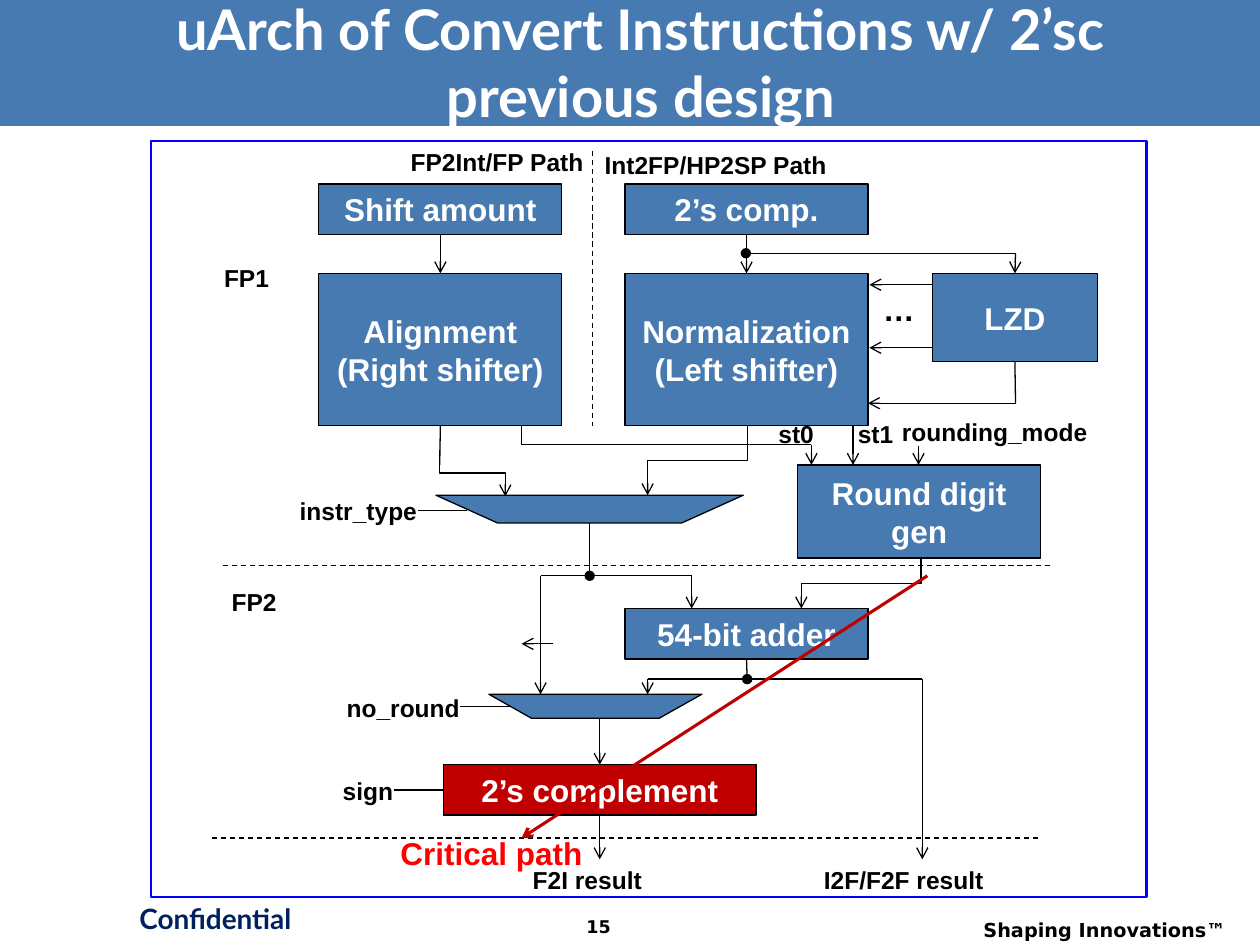
"""Draw the data path of the convert instructions with its critical path."""
from dataclasses import dataclass
from typing import Optional

from pptx import Presentation
from pptx.dml.color import RGBColor
from pptx.enum.dml import MSO_LINE
from pptx.enum.shapes import MSO_CONNECTOR, MSO_SHAPE
from pptx.enum.text import MSO_ANCHOR, MSO_AUTO_SIZE, PP_ALIGN
from pptx.oxml.ns import qn
from pptx.util import Inches, Pt
from lxml import etree

WIDTH, HEIGHT = Inches(10), Inches(7.5)
COLUMN, ROW = WIDTH / 100, HEIGHT / 75

BLUE = RGBColor(0x47, 0x7A, 0xB1)
CRIMSON = RGBColor(0xC0, 0x00, 0x00)
RED = RGBColor(0xFF, 0x00, 0x00)
FRAME_BLUE = RGBColor(0x00, 0x00, 0xFF)
NAVY = RGBColor(0x00, 0x20, 0x60)
BLACK = RGBColor(0x00, 0x00, 0x00)
WHITE = RGBColor(0xFF, 0xFF, 0xFF)

RECTANGLE, MUX = MSO_SHAPE.RECTANGLE, MSO_SHAPE.FLOWCHART_MANUAL_OPERATION
STRAIGHT, ELBOW = MSO_CONNECTOR.STRAIGHT, MSO_CONNECTOR.ELBOW
LEFT, CENTER, RIGHT = PP_ALIGN.LEFT, PP_ALIGN.CENTER, PP_ALIGN.RIGHT
MIDDLE, NO_FIT = MSO_ANCHOR.MIDDLE, MSO_AUTO_SIZE.NONE
DASH = MSO_LINE.DASH
TOP_SIDE, LEFT_SIDE, BOTTOM_SIDE = 0, 1, 2


@dataclass
class Block:
    """A filled shape, placed in columns and rows."""
    left: float
    top: float
    width: float
    height: float
    text: str = ""
    fill: Optional[RGBColor] = BLUE
    line: Optional[RGBColor] = BLACK
    weight: float = 0.75
    shape: MSO_SHAPE = RECTANGLE


@dataclass
class Label:
    """A piece of free text, placed in columns and rows."""
    text: str
    left: float
    top: float
    width: float
    align: PP_ALIGN = LEFT
    size: float = 14
    color: RGBColor = BLACK
    font: str = "Arial"
    inset: float = 1


@dataclass
class Wire:
    """A connector between two grid points, optionally joined to blocks."""
    x1: float
    y1: float
    x2: float
    y2: float
    tail: str = ""
    head: str = ""
    start: Optional[tuple[str, int]] = None
    end: Optional[tuple[str, int]] = None
    elbow: bool = False
    dashed: bool = False
    color: RGBColor = BLACK
    weight: float = 0.75


BLOCKS = [
    Block(12, 11.2, 79, 60, fill=None, line=FRAME_BLUE, weight=1.25),
    Block(25.3, 14.6, 19.3, 4, "Shift amount"),
    Block(49.6, 14.6, 19.3, 4, "2’s comp."),
    Block(25.3, 21.7, 19.3, 12.1, "Alignment (Right shifter)"),
    Block(49.6, 21.7, 19.3, 12.1, "Normalization (Left shifter)"),
    Block(74, 21.7, 13.1, 7, "LZD"),
    Block(63.3, 36.9, 19.3, 7.4, "Round digit gen"),
    Block(49.6, 48.3, 19.3, 4, "54-bit adder"),
    Block(35.2, 60.7, 24.8, 4, "2’s complement", CRIMSON),
    Block(34.6, 39.3, 24.4, 2.2, shape=MUX),
    Block(38.8, 55.1, 16.9, 1.9, shape=MUX),
]

WIRES = [
    Wire(34.9, 18.6, 34.9, 21.7, "arrow", start=("Shift amount", BOTTOM_SIDE),
         end=("Alignment (Right shifter)", TOP_SIDE)),
    Wire(59.2, 18.6, 59.2, 21.7, "arrow", start=("2’s comp.", BOTTOM_SIDE),
         end=("Normalization (Left shifter)", TOP_SIDE)),
    Wire(59.2, 20.1, 80.6, 20.1, head="oval"),
    Wire(80.6, 20.1, 80.6, 21.7, "arrow", end=("LZD", TOP_SIDE)),
    Wire(74, 22.6, 69, 22.6, "arrow"),
    Wire(74, 27.6, 69, 27.6, "arrow"),
    Wire(80.6, 28.7, 80.6, 32, start=("LZD", BOTTOM_SIDE)),
    Wire(80.6, 32, 68.9, 32, "arrow"),
    Wire(34.9, 33.8, 34.9, 36.9, start=("Alignment (Right shifter)", BOTTOM_SIDE)),
    Wire(34.9, 35.7, 40.1, 39.4, "arrow", elbow=True),
    Wire(59.3, 33.8, 51.4, 39.3, "arrow", elbow=True),
    Wire(41.4, 33.8, 41.4, 35.3),
    Wire(41.4, 35.3, 64.4, 35.3),
    Wire(64.4, 35.3, 64.4, 36.9, "arrow"),
    Wire(67.7, 33.8, 67.7, 36.9, "arrow"),
    Wire(72.9, 35.4, 72.9, 36.9, "arrow"),
    Wire(73.1, 44.3, 63.6, 48.3, "arrow", elbow=True),
    Wire(46.8, 41.5, 46.8, 45.7, "oval"),
    Wire(42.9, 45.7, 54.9, 45.7),
    Wire(42.9, 45.7, 42.9, 55.1, "arrow"),
    Wire(54.9, 45.7, 54.9, 48.3, "arrow"),
    Wire(43.9, 51.1, 41.4, 51.1, "arrow"),
    Wire(59.3, 52.3, 59.3, 53.9, "oval", start=("54-bit adder", BOTTOM_SIDE)),
    Wire(51.4, 53.9, 73.2, 53.9),
    Wire(51.4, 53.9, 51.4, 55.1, "arrow"),
    Wire(73.2, 53.9, 73.2, 68.2, "arrow"),
    Wire(47.6, 57.1, 47.6, 60.7, "arrow", end=("2’s complement", TOP_SIDE)),
    Wire(47.6, 64.7, 47.6, 68.2, "arrow", start=("2’s complement", BOTTOM_SIDE)),
    Wire(33.2, 40.5, 37.1, 40.5),
    Wire(36.5, 56.1, 40.5, 56.1),
    Wire(31.3, 62.7, 35.2, 62.7, end=("2’s complement", LEFT_SIDE)),
    Wire(47, 12, 47, 33.8, dashed=True),
    Wire(17.7, 44.9, 83.4, 44.9, dashed=True),
    Wire(16.8, 66.5, 82.5, 66.5, dashed=True),
    Wire(73.6, 45.7, 41.4, 66.5, "arrow", color=CRIMSON, weight=1.75),
]

LABELS = [
    Label("FP2Int/FP Path", 27.1, 11.2, 20.2, RIGHT),
    Label("Int2FP/HP2SP Path", 47, 11.4, 24.5),
    Label("FP1", 16.8, 20.4, 6.6),
    Label("FP2", 17.4, 46.1, 6.6),
    Label("…", 69.1, 22.5, 4.5, size=18),
    Label("st0", 60.8, 32.8, 5),
    Label("st1", 67.1, 32.8, 5),
    Label("rounding_mode", 70.6, 32.6, 17.7),
    Label("instr_type", 23.4, 38.9, 9.7, RIGHT, inset=0),
    Label("no_round", 27.3, 54.5, 9.2, RIGHT, inset=0),
    Label("sign", 24, 61.1, 7.2, RIGHT, inset=0),
    Label("F2I result", 41.3, 68.2, 12.7),
    Label("I2F/F2F result", 64.4, 68.2, 17.5),
    Label("Critical path", 30.8, 65.7, 37.6, size=18, color=RED),
    Label("Confidential", 8.9, 71.1, 16.4, CENTER, 16, NAVY, "Lato"),
    Label("15", 42.9, 72.2, 9.2, CENTER, 10, font="DejaVu Sans"),
    Label("Shaping Innovations™", 74.6, 72.4, 23.7, RIGHT, 11, font="DejaVu Sans"),
]


def place(*lengths: float) -> list[int]:
    """Turn alternating columns and rows into slide lengths."""
    return [round(length * (ROW if i % 2 else COLUMN)) for i, length in enumerate(lengths)]


def style_text(frame, size: float, color: RGBColor, name: str, align: PP_ALIGN) -> None:
    """Give every paragraph of a frame one bold font and an alignment."""
    for para in frame.paragraphs:
        para.alignment = align
        font = para.font
        font.size, font.bold, font.name = Pt(size), True, name
        font.color.rgb = color


def draw_block(page, block: Block):
    """Draw a block and return its shape."""
    box = page.shapes.add_shape(
        block.shape, *place(block.left, block.top, block.width, block.height))
    box.shadow.inherit = False
    if block.fill is None:
        box.fill.background()
    else:
        box.fill.solid()
        box.fill.fore_color.rgb = block.fill
    if block.line is None:
        box.line.fill.background()
    else:
        box.line.color.rgb = block.line
        box.line.width = Pt(block.weight)
    if block.text:
        box.text_frame.text = block.text
        box.text_frame.vertical_anchor = MIDDLE
        style_text(box.text_frame, 18, WHITE, "Arial", CENTER)
    return box


def draw_label(page, label: Label) -> None:
    """Draw a free text."""
    box = page.shapes.add_textbox(*place(label.left, label.top, label.width, 3.4))
    frame = box.text_frame
    frame.word_wrap = True
    frame.margin_left = frame.margin_right = round(label.inset * COLUMN)
    frame.text = label.text
    style_text(frame, label.size, label.color, label.font, label.align)


def draw_wire(page, wire: Wire, boxes: dict) -> None:
    """Draw a wire; an elbow is turned a quarter so that it leaves vertically."""
    points = place(wire.x1, wire.y1, wire.x2, wire.y2)
    if wire.elbow:
        x1, y1, x2, y2 = points
        middle_x, middle_y = (x1 + x2) // 2, (y1 + y2) // 2
        half_x, half_y = (x2 - x1) // 2, (y2 - y1) // 2
        points = [middle_x - half_y, middle_y + half_x, middle_x + half_y, middle_y - half_x]
    connector = page.shapes.add_connector(ELBOW if wire.elbow else STRAIGHT, *points)
    properties = connector._element.spPr
    if wire.elbow:
        properties.find(qn("a:xfrm")).set("rot", "5400000")
    if wire.start:
        connector.begin_connect(boxes[wire.start[0]], wire.start[1])
    if wire.end:
        connector.end_connect(boxes[wire.end[0]], wire.end[1])
    connector.line.color.rgb = wire.color
    connector.line.width = Pt(wire.weight)
    if wire.dashed:
        connector.line.dash_style = DASH
    for tag, kind in (("a:headEnd", wire.head), ("a:tailEnd", wire.tail)):
        if kind:
            etree.SubElement(properties.find(qn("a:ln")), qn(tag), type=kind)
    etree.SubElement(properties, qn("a:effectLst"))


def draw_title(page) -> None:
    """Put the shadowed title on its band."""
    title = page.shapes.title
    title.left, title.top, title.width, title.height = place(3.5, 1.6, 94.7, 6.6)
    frame = title.text_frame
    frame.text = "uArch of Convert Instructions w/ 2’sc\vprevious design"
    frame.auto_size, frame.vertical_anchor = NO_FIT, MIDDLE
    style_text(frame, 32, WHITE, "Lato", CENTER)
    for span in frame.paragraphs[0].runs:
        effects = etree.SubElement(span._r.get_or_add_rPr(), qn("a:effectLst"))
        shadow = etree.SubElement(effects, qn("a:outerShdw"), dist="38100", dir="2700000")
        etree.SubElement(shadow, qn("a:srgbClr"), val=str(BLACK))
    band = draw_block(page, Block(0, 0, 100, 10, line=None))
    title._element.addprevious(band._element)


def main() -> None:
    """Build and save the deck."""
    deck = Presentation()
    deck.slide_width, deck.slide_height = WIDTH, HEIGHT
    page = deck.slides.add_slide(deck.slide_layouts[5])
    draw_title(page)
    boxes = {block.text: draw_block(page, block) for block in BLOCKS}
    for wire in WIRES:
        draw_wire(page, wire, boxes)
    for label in LABELS:
        draw_label(page, label)
    deck.save("out.pptx")


if __name__ == "__main__":
    main()
